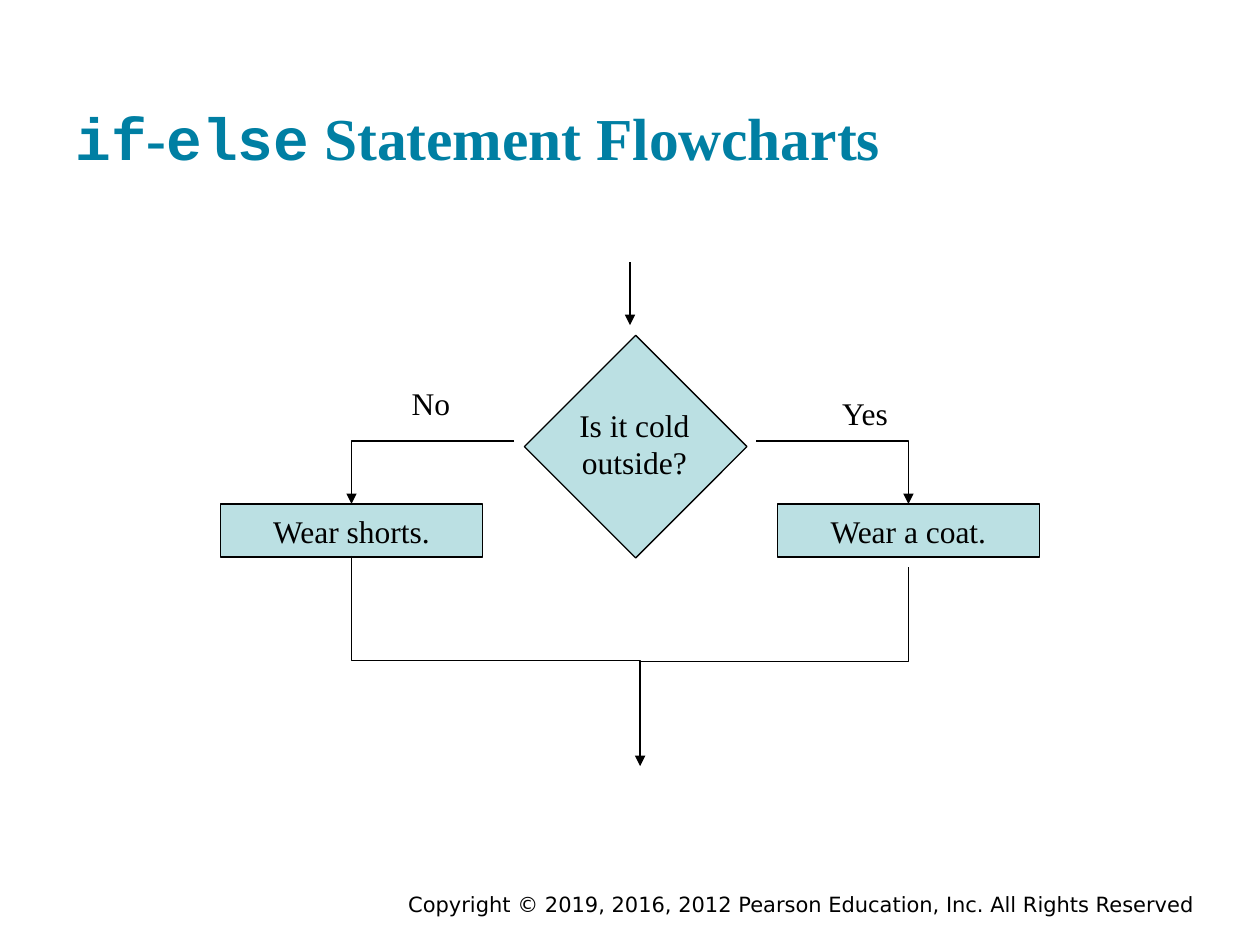
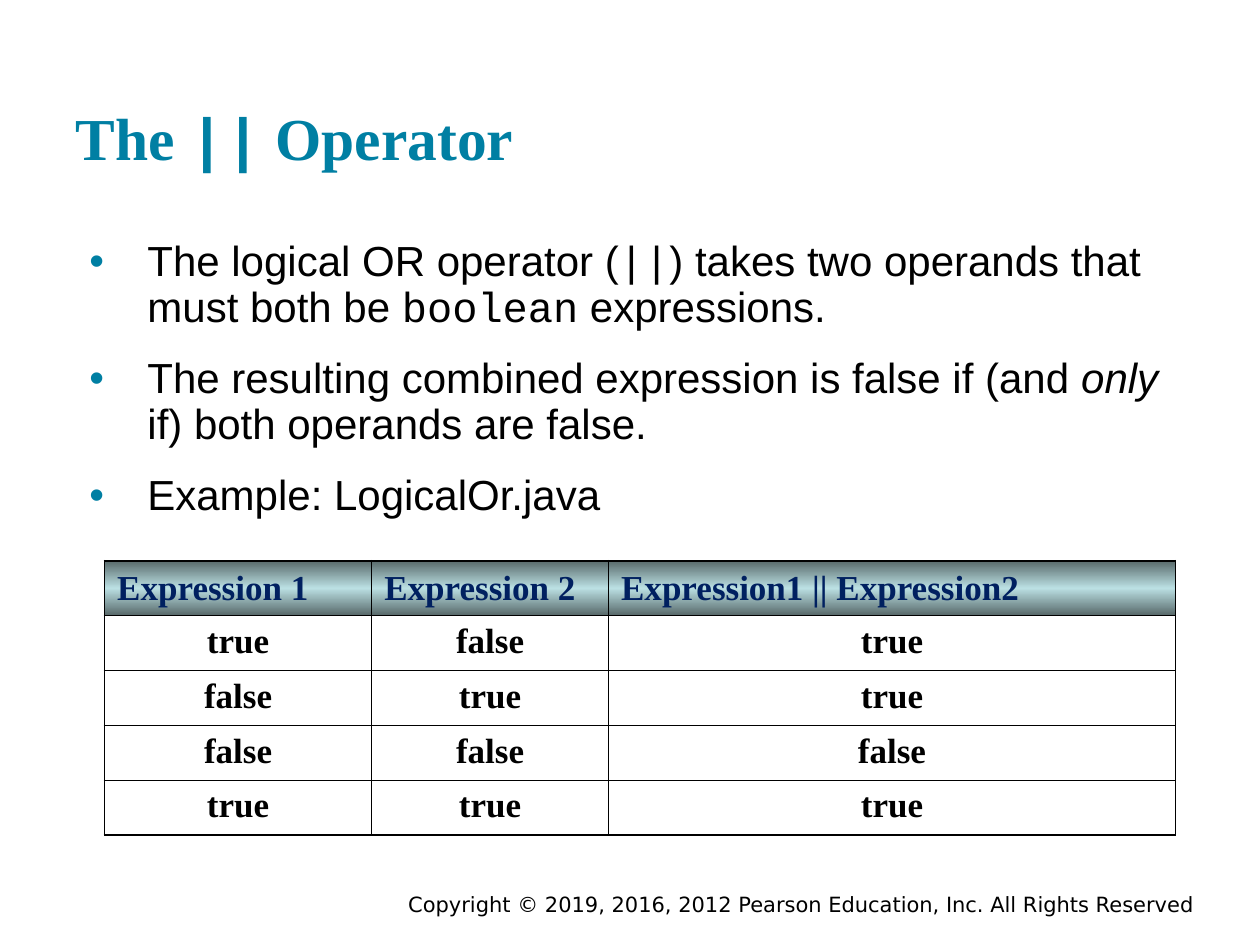
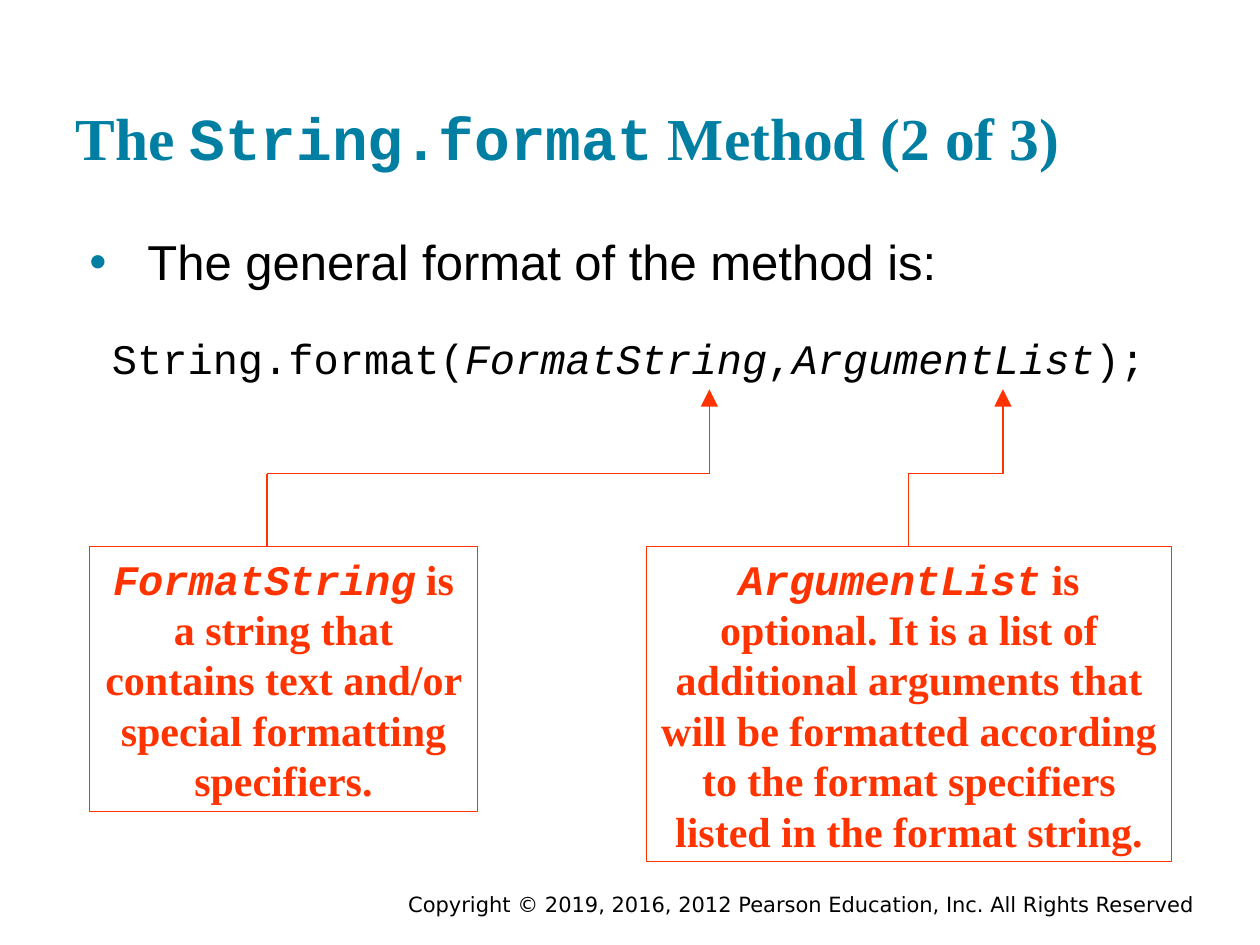
from lxml.etree import SubElement
from pptx import Presentation
from pptx.dml.color import RGBColor
from pptx.enum.shapes import MSO_CONNECTOR, MSO_SHAPE
from pptx.enum.text import MSO_ANCHOR, MSO_AUTO_SIZE, PP_ALIGN
from pptx.oxml import parse_xml
from pptx.oxml.ns import nsdecls, qn
from pptx.util import Inches, Pt

# Shared colours, fonts and wording
TEAL, PALE, DARK = "007FA3", "BBE0E3", "576869"
BLACK, NAVY, RED = "000000", "002060", "FF3300"
SERIF, SANS, CODE = "Times New Roman", "Arial", "Courier New"
FOOTER = "Copyright © 2019, 2016, 2012 Pearson Education, Inc. All Rights Reserved"
rgb = RGBColor.from_string


def write(par, text, size, color=BLACK, font=SERIF, bold=False, align=PP_ALIGN.LEFT):
    """Fill a paragraph; `ticks` mark code and *stars* mark italics."""
    par.alignment = align
    par.space_before = Pt(0)
    base = par.font
    base.size, base.bold = Pt(size), bold
    base.color.rgb = rgb(color)
    if "`" not in text:
        base.name = font
    for i, chunk in enumerate(text.split("`")):
        for j, part in enumerate(chunk.split("*")):
            if part:
                run = par.add_run()
                run.text = part
                if "`" in text:
                    run.font.name = CODE if i % 2 else font
                if "*" in text:
                    run.font.italic = bool(j % 2)


def link(slide, ends, color, arrow=None, bend=None, turn=0):
    """Draw a straight or bent connector; arrow is the size of its head."""
    kind = MSO_CONNECTOR.ELBOW if bend else MSO_CONNECTOR.STRAIGHT
    line = slide.shapes.add_connector(kind, *map(Inches, ends))
    line.line.color.rgb = rgb(color)
    line.line.width = Pt(0.75)
    props = line._element.spPr
    if bend:
        props.find(qn("a:prstGeom")).set("prst", bend)
    if turn:
        props.find(qn("a:xfrm")).set("rot", str(turn * 60000))
    if arrow:
        stroke = props.find(qn("a:ln"))
        SubElement(stroke, qn("a:tailEnd"), type="triangle", w=arrow, len=arrow)
    SubElement(props, qn("a:effectLst"))


deck = Presentation()
deck.slide_width, deck.slide_height = Inches(10), Inches(7.5)

# Slides with their titles and footers
slides = []
for layout, title in [
    (5, "`if`-`else` Statement Flowcharts"),
    (1, "The `||` Operator"),
    (1, "The `String.format` Method (2 of 3)"),
]:
    slide = deck.slides.add_slide(deck.slide_layouts[layout])
    slides.append(slide)
    head = slide.shapes.title
    head.left, head.top, head.width, head.height = map(Inches, (0.5, 0.27, 9, 1.2))
    frame = head.text_frame
    frame.auto_size = MSO_AUTO_SIZE.NONE
    frame.vertical_anchor = MSO_ANCHOR.BOTTOM
    frame.margin_top = frame.margin_bottom = Inches(0.1)
    write(frame.paragraphs[0], title, 34, TEAL, bold=True)
    foot = slide.shapes.add_textbox(*map(Inches, (1.75, 7.03, 7.83, 0.22))).text_frame
    foot.word_wrap = True
    write(foot.paragraphs[0], FOOTER, 12, font="DejaVu Sans", align=PP_ALIGN.RIGHT)
flow, logic, method = slides

# Flowchart boxes, the first one turned into a diamond
for place, turn, text in [
    ((4.42, 2.92, 1.25, 1.25), 45, ""),
    ((6.17, 4, 2.08, 0.42), 0, "Wear a coat."),
    ((1.75, 4, 2.08, 0.42), 0, "Wear shorts."),
]:
    box = flow.shapes.add_shape(MSO_SHAPE.RECTANGLE, *map(Inches, place))
    box.shadow.inherit = False
    box.rotation = turn
    box.fill.solid()
    box.fill.fore_color.rgb = rgb(PALE)
    box.line.color.rgb = rgb(BLACK)
    box.line.width = Pt(0.75)
    if text:
        box.text_frame.word_wrap = False
        write(box.text_frame.paragraphs[0], text, 18, align=PP_ALIGN.CENTER)

# Flowchart labels, with room to spare so that no line breaks
for place, lines in [
    ((4.45, 3.17, 1.17, 0.7), ["Is it cold", "outside?"]),
    ((6.53, 3.08, 0.67, 0.4), ["Yes"]),
    ((3.12, 3, 0.6, 0.4), ["No"]),
]:
    frame = flow.shapes.add_textbox(*map(Inches, place)).text_frame
    frame.word_wrap = False
    frame.auto_size = MSO_AUTO_SIZE.SHAPE_TO_FIT_TEXT
    for n, text in enumerate(lines):
        par = frame.add_paragraph() if n else frame.paragraphs[0]
        write(par, text, 18, align=PP_ALIGN.CENTER)

# Flowchart arrows
link(flow, (5, 2.08, 5, 2.58), BLACK, arrow="med")
link(flow, (6, 3.5, 7.21, 4), BLACK, arrow="med", bend="bentConnector2")
link(flow, (4.08, 3.5, 2.79, 4), BLACK, arrow="med", bend="bentConnector2")
link(flow, (4.77, 4.1, 3.1, 6.39), BLACK, arrow="med", bend="bentConnector3", turn=270)
link(flow, (5.08, 5.25, 7.21, 4.5), BLACK, bend="bentConnector2")

# Bullet lists
for slide, top, size, space, lines in [
    (logic, 1.81, 24, 0.9, [
        "The logical OR operator (`||`) takes two operands that must both be "
        "`boolean` expressions.",
        "The resulting combined expression is false if (and *only* if) both "
        "operands are false.",
        "Example: LogicalOr.java",
    ]),
    (method, 1.74, 28, 1.0, ["The general format of the method is:"]),
]:
    body = slide.placeholders[1]
    body.left, body.top, body.width, body.height = map(Inches, (0.5, top, 9, 4.95))
    frame = body.text_frame
    frame.auto_size = MSO_AUTO_SIZE.NONE
    frame.margin_top = frame.margin_bottom = Inches(0.1)
    for n, text in enumerate(lines):
        par = frame.add_paragraph() if n else frame.paragraphs[0]
        props = par._p.get_or_add_pPr()
        props.set("marL", str(Inches(0.57)))
        props.set("indent", str(Inches(-0.46)))
        SubElement(SubElement(props, qn("a:buClr")), qn("a:srgbClr"), val=TEAL)
        SubElement(props, qn("a:buChar"), char="•")
        write(par, text, size, font=SANS)
        par.line_spacing = space
        if n:
            par.space_before = Pt(15)

# Truth table
rows = [
    ("Expression 1", "Expression 2", "Expression1 || Expression2"),
    ("true", "false", "true"),
    ("false", "true", "true"),
    ("false", "false", "false"),
    ("true", "true", "true"),
]
stops = "".join(
    f'<a:gs pos="{pos}"><a:srgbClr val="{color}"/></a:gs>'
    for pos, color in [(0, DARK), (50000, PALE), (100000, DARK)]
)
shade = (f'<a:gradFill {nsdecls("a")}><a:gsLst>{stops}</a:gsLst>'
         '<a:lin ang="5400000" scaled="0"/></a:gradFill>')
place = map(Inches, (0.83, 4.45, 8.5, 2.18))
table = logic.shapes.add_table(len(rows), 3, *place).table
table.first_row = table.horz_banding = False
for col, width in zip(table.columns, (2.12, 1.88, 4.5)):
    col.width = Inches(width)
for r, row in enumerate(rows):
    for c, text in enumerate(row):
        cell = table.cell(r, c)
        props = cell._tc.get_or_add_tcPr()
        edges = {"L": c == 0, "R": c == 2, "T": r == 0, "B": r == len(rows) - 1}
        for side, outer in edges.items():
            width = Pt(1.08 if outer else 0.45)
            edge = SubElement(props, qn(f"a:ln{side}"), w=str(width))
            SubElement(SubElement(edge, qn("a:solidFill")), qn("a:srgbClr"), val=BLACK)
        par = cell.text_frame.paragraphs[0]
        if r:
            cell.fill.background()
            write(par, text, 20, bold=True, align=PP_ALIGN.CENTER)
        else:
            props.append(parse_xml(shade))
            cell.vertical_anchor = MSO_ANCHOR.MIDDLE
            write(par, text, 20, NAVY, bold=True)

# Method call
call = method.shapes.add_textbox(*map(Inches, (0.79, 2.59, 8.5, 1.19))).text_frame
call.word_wrap = True
write(call.paragraphs[0], "String.format(*FormatString*,*ArgumentList*);", 24, font=CODE)

# Callouts with arrows up to the arguments
TOP, MID, TIP = 4.34, 3.76, 3.09
for left, width, height, start, end, text in [
    (0.71, 3.08, 2.1, 2.12, 5.63,
     "`*FormatString*` is a string that contains text and/or special "
     "formatting specifiers."),
    (5.13, 4.17, 2.5, 7.21, 7.96,
     "`*ArgumentList*` is optional. It is a list of additional arguments that will "
     "be formatted according to the format specifiers listed in the format string."),
]:
    place = map(Inches, (left, TOP, width, height))
    note = method.shapes.add_shape(MSO_SHAPE.RECTANGLE, *place)
    note.shadow.inherit = False
    note.fill.background()
    note.line.color.rgb = rgb(RED)
    note.line.width = Pt(0.75)
    note.text_frame.vertical_anchor = MSO_ANCHOR.TOP
    write(note.text_frame.paragraphs[0], text, 24, RED, bold=True, align=PP_ALIGN.CENTER)
    link(method, (start, TOP, start, MID), RED)
    link(method, (start, MID, end, MID), RED)
    link(method, (end, MID, end, TIP), RED, arrow="lg")

deck.save("out.pptx")
